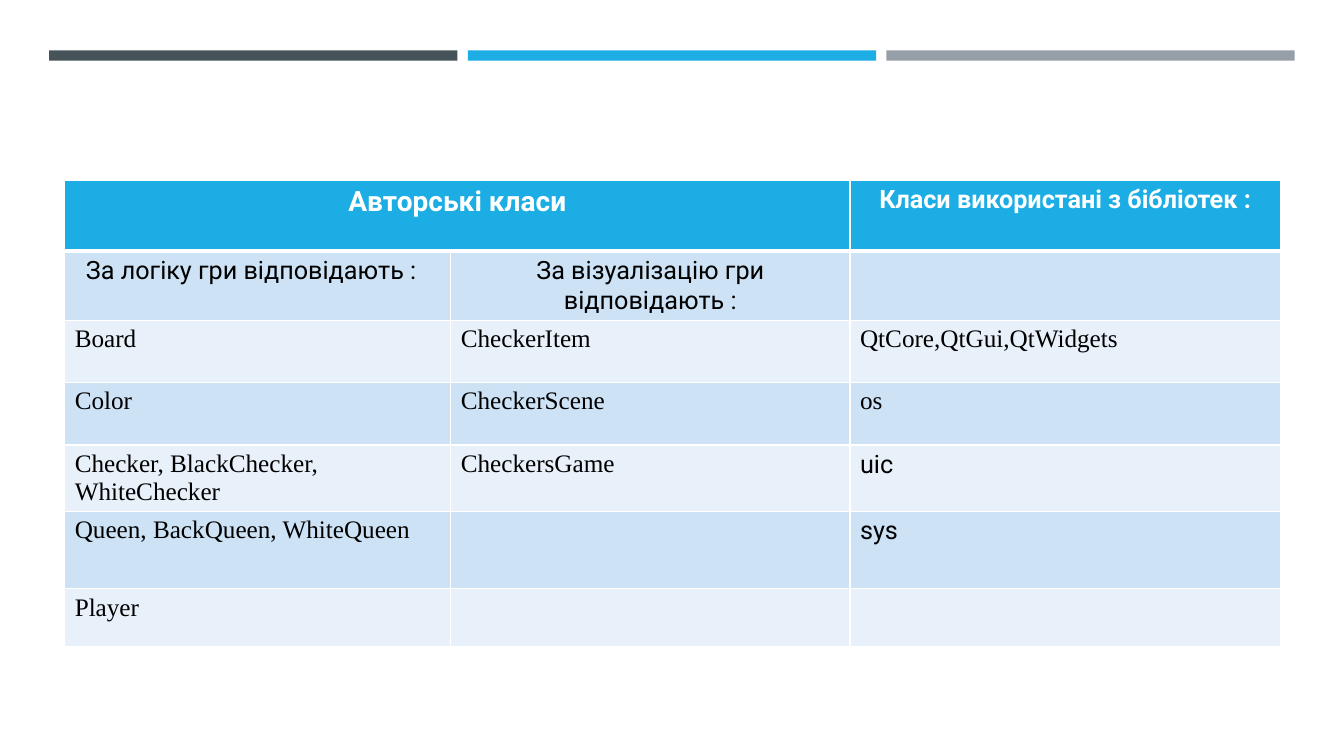
from lxml import etree
from pptx import Presentation
from pptx import util as u
from pptx.dml.color import RGBColor
from pptx.enum import shapes, text
from pptx.oxml import ns

SLATE = RGBColor(0x46, 0x53, 0x59)
BLUE = RGBColor(0x1C, 0xAD, 0xE4)
GREY = RGBColor(0x96, 0x9F, 0xA7)
BAND_DARK = RGBColor(0xCD, 0xE3, 0xF5)
BAND_LIGHT = RGBColor(0xE8, 0xF1, 0xFA)
WHITE = RGBColor(0xFF, 0xFF, 0xFF)
BLACK = RGBColor(0, 0, 0)

SANS, SERIF = "Roboto", "Times New Roman"
SANS_CELLS = {"uic", "sys"}
COLUMNS = [9.73, 10.06, 10.85]
ROWS = [
    (1.78, ["Авторські класи", "", "Класи використані з бібліотек :"]),
    (1.74, ["За логіку гри відповідають :", "За візуалізацію гри відповідають :", ""]),
    (1.56, ["Board", "CheckerItem", "QtCore,QtGui,QtWidgets"]),
    (1.58, ["Color", "CheckerScene", "os"]),
    (1.67, ["Checker, BlackChecker, WhiteChecker", "CheckersGame", "uic"]),
    (1.95, ["Queen, BackQueen, WhiteQueen", "", "sys"]),
    (1.45, ["Player", "", ""]),
]


class Deck:
    """Holds the slide style and draws bars and tables on the current slide."""

    def __init__(self, prs):
        self.s = prs.slides.add_slide(prs.slide_layouts[6])

    def bar(self, left, color):
        sp = self.s.shapes.add_shape(
            shapes.MSO_SHAPE.RECTANGLE, u.Cm(left), u.Cm(1.27), u.Cm(10.29), u.Cm(0.26))
        sp.shadow.inherit = False
        sp.fill.solid()
        sp.fill.fore_color.rgb = color
        sp.line.fill.background()

    def border(self, cell, side, width):
        tcPr = cell._tc.get_or_add_tcPr()
        ln = etree.SubElement(tcPr, ns.qn(f"a:ln{side}"), w=str(u.Pt(width)))
        fill = etree.SubElement(ln, ns.qn("a:solidFill"))
        etree.SubElement(fill, ns.qn("a:srgbClr"), val=str(WHITE))

    def cell(self, cell, i, words):
        for side in "LRTB":
            heavy = (i, side) in {(0, "B"), (1, "T")}
            self.border(cell, side, 3 if heavy else 1)
        cell.fill.solid()
        cell.fill.fore_color.rgb = BLUE if i == 0 else BAND_DARK if i % 2 else BAND_LIGHT
        if not words:
            return
        cell.text_frame.text = words
        p = cell.text_frame.paragraphs[0]
        p.alignment = text.PP_ALIGN.CENTER if i < 2 else text.PP_ALIGN.LEFT
        font = p.runs[0].font
        font.name = SANS if i < 2 or words in SANS_CELLS else SERIF
        font.size = u.Pt(18)
        font.bold = i == 0
        font.color.rgb = WHITE if i == 0 else BLACK

    def table(self, left, top, columns, rows):
        height = sum(h for h, _ in rows)
        frame = self.s.shapes.add_table(
            len(rows), len(columns), u.Cm(left), u.Cm(top), u.Cm(sum(columns)), u.Cm(height))
        tbl = frame.table
        for column, width in zip(tbl.columns, columns):
            column.width = u.Cm(width)
        for i, (h, row) in enumerate(rows):
            tbl.rows[i].height = u.Cm(h)
            for j, words in enumerate(row):
                self.cell(tbl.cell(i, j), i, words)
        return tbl


prs = Presentation()
prs.slide_width, prs.slide_height = u.Cm(33.87), u.Cm(19.05)
deck = Deck(prs)
for k, color in enumerate([SLATE, BLUE, GREY]):
    deck.bar(1.24 + k * 10.55, color)

tbl = deck.table(1.63, 4.55, COLUMNS, ROWS)
tbl.cell(0, 0).merge(tbl.cell(0, 1))
tbl.cell(0, 0).text_frame.paragraphs[0].runs[0].font.size = u.Pt(20)
tbl.cell(1, 0).margin_right = u.Cm(0.58)
prs.save("out.pptx")
